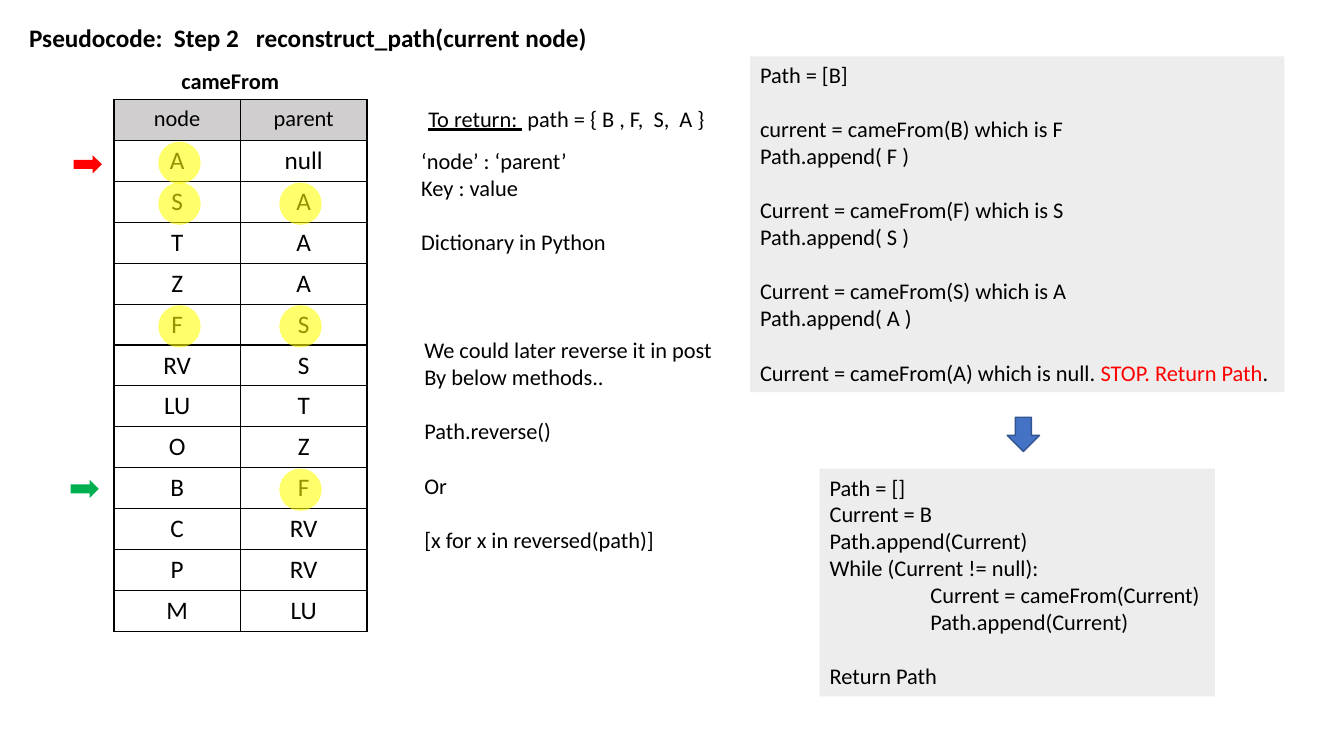
from dataclasses import dataclass

from lxml.etree import SubElement
from pptx import Presentation
from pptx.dml.color import RGBColor
from pptx.enum.shapes import MSO_SHAPE
from pptx.enum.text import MSO_AUTO_SIZE, PP_ALIGN
from pptx.oxml.ns import qn
from pptx.util import Inches, Pt

FONT = "Calibri"
BLACK, RED, GREEN, YELLOW = "000000", "FF0000", "00B050", "FFFF00"
HEADER_GREY, CODE_GREY = "D0CECE", "EDEDED"
LINE_GAP = Pt(19.5)  # one line of 16 pt text

TABLE_LEFT, TABLE_TOP = 1.13, 0.99
COL_W, ROW_H = 1.255, 0.4054
CAME_FROM = [
    ("node", "parent"), ("A", "null"), ("S", "A"), ("T", "A"), ("Z", "A"),
    ("F", "S"), ("RV", "S"), ("LU", "T"), ("O", "Z"), ("B", "F"),
    ("C", "RV"), ("P", "RV"), ("M", "LU"),
]
ON_PATH = [(9, 1), (5, 0), (5, 1), (2, 0), (2, 1), (1, 0)]  # (row, column)


@dataclass
class Run:
    text: str
    color: str = BLACK
    underline: bool = False


@dataclass
class Line:
    runs: list[Run]
    indent: float = 0


@dataclass
class TextBox:
    left: float
    top: float
    width: float
    height: float
    blocks: list[list[str | Line]]  # blocks are set one line apart
    size: int = 16
    bold: bool = False
    wrap: bool = False
    fill: str | None = None


@dataclass
class Mark:
    kind: MSO_SHAPE
    left: float
    top: float
    width: float
    height: float
    fill: str
    line: str | None = None
    opacity: int = 100


TEXTS = [
    TextBox(0.19, 0.17, 5.78, 0.4,
            [["Pseudocode:  Step 2   reconstruct_path(current node)"]], 18, True),
    TextBox(1.7, 0.62, 1.18, 0.37, [["cameFrom"]], bold=True),
    TextBox(4.15, 0.99, 3.29, 0.37,
            [[Line([Run("To return: ", underline=True),
                    Run(" path = { B , F,  S,  A }")])]], wrap=True),
    TextBox(4.08, 1.41, 2.06, 1.18,
            [["‘node’ : ‘parent’", "Key : value"], ["Dictionary in Python"]]),
    TextBox(4.11, 3.29, 3.12, 2.26,
            [["We could later reverse it in post", "By below methods.."],
             ["Path.reverse()"], ["Or"], ["[x for x in reversed(path)]"]]),
    TextBox(7.44, 0.56, 5.3, 3.33,
            [["Path = [B]"],
             ["current = cameFrom(B) which is F", "Path.append( F )"],
             ["Current = cameFrom(F) which is S", "Path.append( S )"],
             ["Current = cameFrom(S) which is A", "Path.append( A )"],
             [Line([Run("Current = cameFrom(A) which is null. "),
                    Run("STOP. Return Path", RED), Run(".")])]],
            fill=CODE_GREY),
    TextBox(8.13, 4.65, 3.92, 2.26,
            [["Path = []", "Current = B", "Path.append(Current)",
              "While (Current != null):",
              Line([Run("Current = cameFrom(Current)")], indent=1),
              Line([Run("Path.append(Current)")], indent=1)],
             ["Return Path"]],
            fill=CODE_GREY),
]

MARKS = [
    Mark(MSO_SHAPE.RIGHT_ARROW, 0.7, 4.76, 0.28, 0.18, GREEN),
    Mark(MSO_SHAPE.RIGHT_ARROW, 0.73, 1.54, 0.28, 0.18, RED),
    Mark(MSO_SHAPE.DOWN_ARROW, 9.99, 4.14, 0.32, 0.34, "4472C4", "325491"),
] + [
    Mark(MSO_SHAPE.OVAL, 1.57 + 1.2 * col, TABLE_TOP + ROW_H * row + 0.01,
         0.42, 0.42, YELLOW, opacity=58)
    for row, col in ON_PATH
]


def rgb(color: str) -> RGBColor:
    return RGBColor.from_string(color)


def paint(fill, color: str) -> None:
    fill.solid()
    fill.fore_color.rgb = rgb(color)


def set_font(font, size: int, bold: bool = False) -> None:
    font.name, font.size, font.bold = FONT, Pt(size), bold


def add_text(slide, box: TextBox) -> None:
    s = slide.shapes.add_textbox(*map(Inches, (box.left, box.top, box.width, box.height)))
    if box.fill:
        paint(s.fill, box.fill)
    tf = s.text_frame
    tf.word_wrap = box.wrap
    tf.auto_size = MSO_AUTO_SIZE.SHAPE_TO_FIT_TEXT
    p = None
    for b, block in enumerate(box.blocks):
        for i, item in enumerate(block):
            line = Line([Run(item)]) if isinstance(item, str) else item
            p = tf.add_paragraph() if p else tf.paragraphs[0]
            set_font(p.font, box.size, box.bold)
            if b and i == 0:
                p.space_before = LINE_GAP
            if line.indent:
                p._p.get_or_add_pPr().set("marL", str(Inches(line.indent)))
            for run in line.runs:
                r = p.add_run()
                r.text = run.text
                r.font.color.rgb = rgb(run.color)
                if run.underline:
                    r.font.underline = True


def add_mark(slide, mark: Mark) -> None:
    s = slide.shapes.add_shape(
        mark.kind, *map(Inches, (mark.left, mark.top, mark.width, mark.height)))
    s.shadow.inherit = False
    paint(s.fill, mark.fill)
    if mark.opacity < 100:
        color = s._element.spPr.find(qn("a:solidFill"))[0]
        SubElement(color, qn("a:alpha"), val=str(mark.opacity * 1000))
    if mark.line:
        paint(s.line.fill, mark.line)
        s.line.width = Pt(1)
    else:
        s.line.fill.background()


def add_borders(cell) -> None:
    tc_pr = cell._tc.get_or_add_tcPr()
    for side in ("lnL", "lnR", "lnT", "lnB"):
        ln = SubElement(tc_pr, qn(f"a:{side}"), w=str(Pt(1)))
        SubElement(SubElement(ln, qn("a:solidFill")), qn("a:srgbClr"), val=BLACK)


def add_came_from(slide) -> None:
    rows, cols = len(CAME_FROM), len(CAME_FROM[0])
    table = slide.shapes.add_table(
        rows, cols, Inches(TABLE_LEFT), Inches(TABLE_TOP),
        Inches(COL_W * cols), Inches(ROW_H * rows)).table
    table.first_row = table.horz_banding = False
    for i, values in enumerate(CAME_FROM):
        for j, value in enumerate(values):
            cell = table.cell(i, j)
            add_borders(cell)
            if i == 0:
                paint(cell.fill, HEADER_GREY)
            else:
                cell.fill.background()
            cell.text = value
            p = cell.text_frame.paragraphs[0]
            p.alignment = PP_ALIGN.CENTER
            set_font(p.font, 18 if i else 16)
            p.font.color.rgb = rgb(BLACK)


def main() -> None:
    prs = Presentation()
    prs.slide_width, prs.slide_height = Inches(13.33), Inches(7.5)
    slide = prs.slides.add_slide(prs.slide_layouts[6])

    # Dictionary table, then highlights and arrows over it
    add_came_from(slide)
    for mark in MARKS:
        add_mark(slide, mark)

    # Headings, notes and code panels
    for box in TEXTS:
        add_text(slide, box)

    prs.save("out.pptx")


if __name__ == "__main__":
    main()
